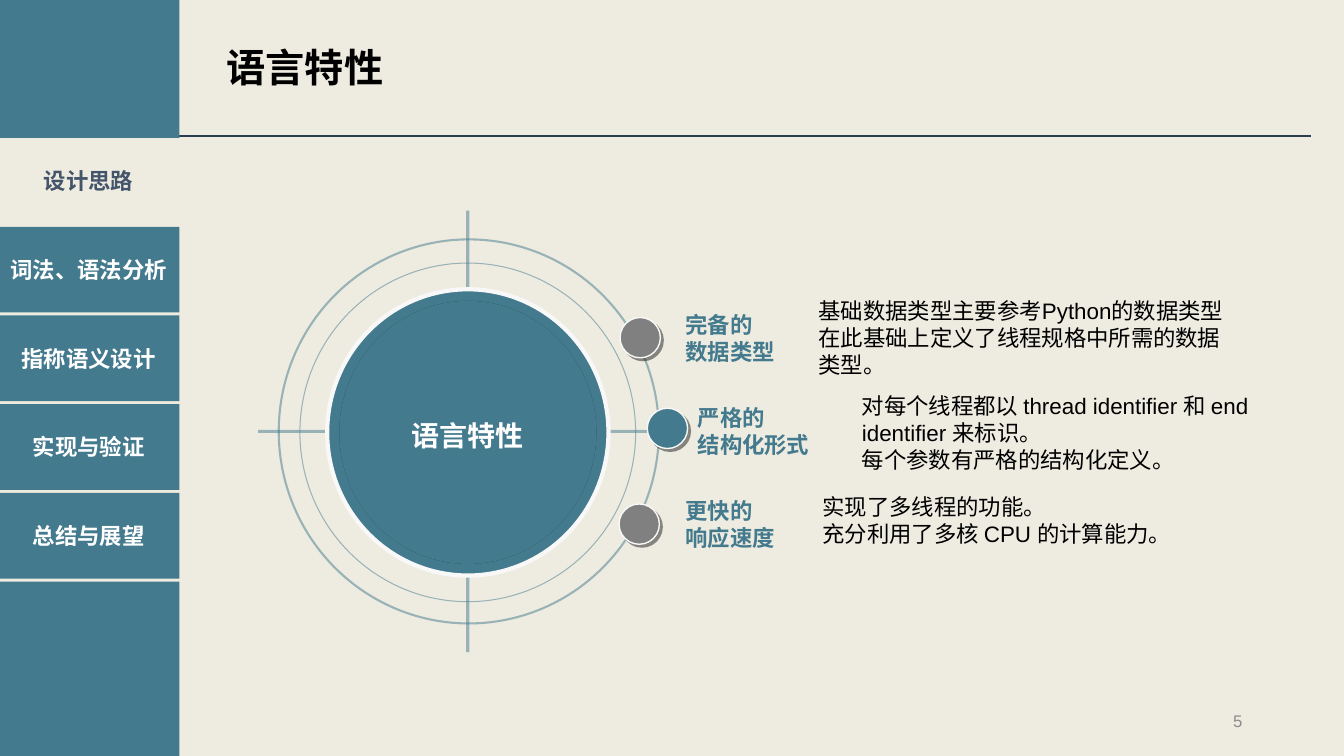
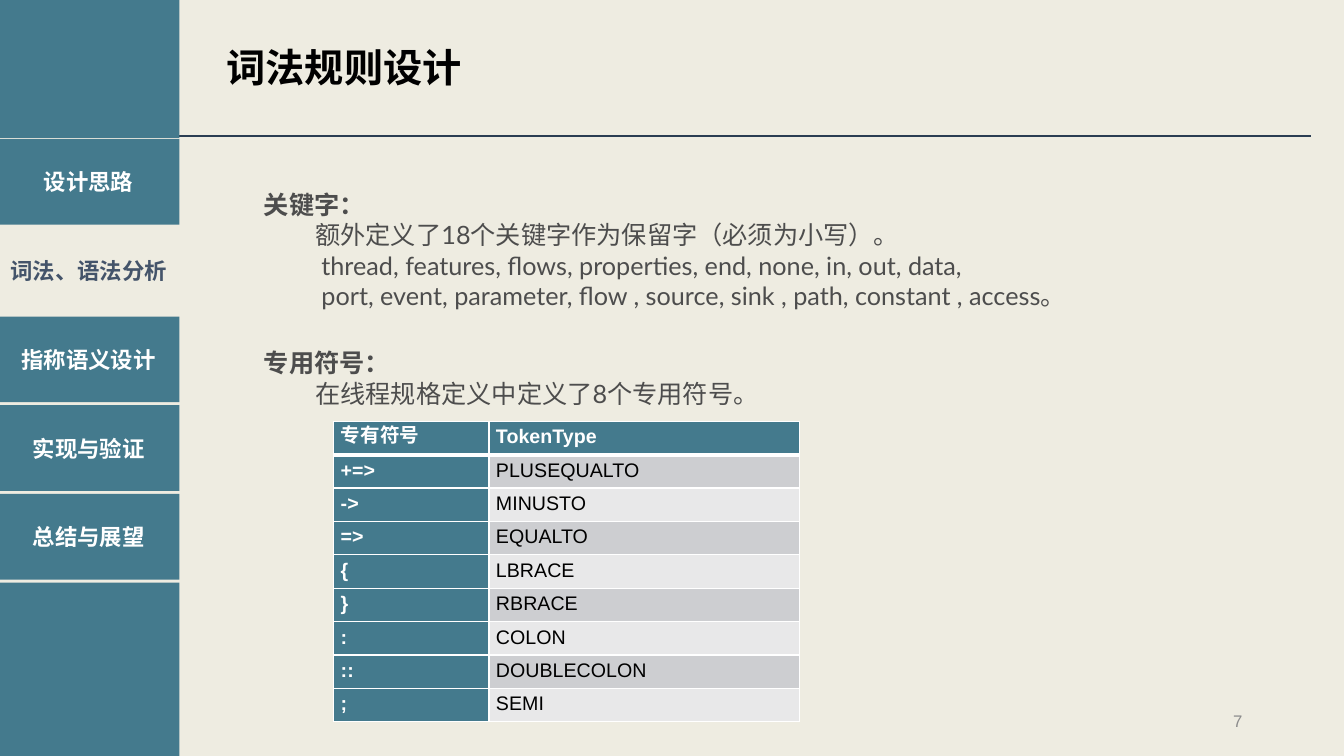
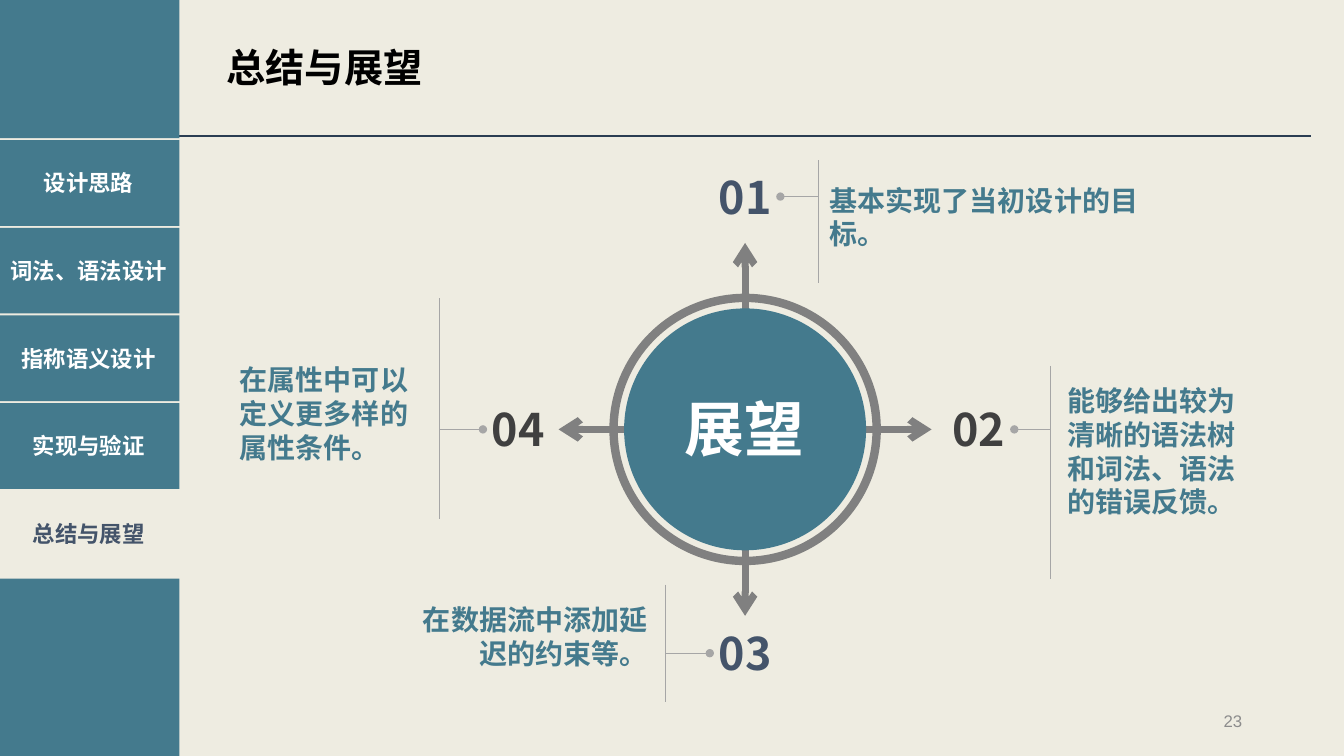
from lxml.etree import SubElement
from pptx import Presentation
from pptx.dml.color import RGBColor
from pptx.enum.shapes import MSO_CONNECTOR, MSO_SHAPE
from pptx.enum.text import MSO_ANCHOR as Anchor, PP_ALIGN as Align
from pptx.oxml.ns import qn
from pptx.util import Inches, Pt

TEAL, PAGE, SLATE, WHITE, BLACK = "447A8D", "EEECE1", "44546A", "FFFFFF", "000000"
GRAY, LIGHT_GRAY, DARK_GRAY, OFF_WHITE = "808080", "A6A6A6", "404040", "F8F8F8"
CJK = "Noto Sans CJK SC"

TITLE = {"size": 28, "bold": True, "name": CJK, "color": BLACK}
TAB = {"size": 16, "bold": True, "name": CJK, "color": WHITE}
HEADING = {**TAB, "color": TEAL}
BODY = {"size": 16, "bold": False, "name": "Arial", "color": BLACK}
PAGE_NUMBER = {**BODY, "size": 12, "color": "8C8C8C"}
HUB = {**BODY, "size": 20, "bold": True, "color": WHITE}
NOTE = {"size": 18, "bold": False, "name": "Lato", "color": "4D4D4D"}
CELL = {**BODY, "size": 14}
CELL_HEAD = {**CELL, "bold": True, "color": WHITE}
CALLOUT = {**HEADING, "size": 20}
NUMBER = {**HEADING, "size": 32}
OUTLOOK = {**TAB, "size": 42.7}

TAB_LABELS = ["设计思路", "词法、语法分析", "指称语义设计", "实现与验证", "总结与展望"]


def rgb(value):
    return RGBColor.from_string(value)


def set_all(target, **values):
    for name, value in values.items():
        setattr(target, name, value)


def write(frame, lines, style, align=Align.LEFT, anchor=Anchor.TOP, insets=(0.1, 0.05), wrap=True):
    """Fill a text frame with one paragraph per line and return the paragraphs."""
    across, down = map(Inches, insets)
    set_all(frame, word_wrap=wrap, vertical_anchor=anchor, margin_left=across,
            margin_right=across, margin_top=down, margin_bottom=down)
    paragraphs = []
    for index, line in enumerate(lines):
        paragraph = frame.add_paragraph() if index else frame.paragraphs[0]
        paragraph.alignment = align
        run = paragraph.add_run()
        run.text = line
        set_all(run.font, size=Pt(style["size"]), bold=style["bold"], name=style["name"])
        run.font.color.rgb = rgb(style["color"])
        SubElement(run.font._element, qn("a:ea"), typeface=CJK)
        paragraphs.append(paragraph)
    return paragraphs


def add_text(slide, box, lines, style, **layout):
    shape = slide.shapes.add_textbox(*map(Inches, box))
    write(shape.text_frame, lines, style, **layout)
    return shape


def make_half_transparent(element):
    for color in element.iter(qn("a:srgbClr")):
        SubElement(color, qn("a:alpha"), val="50000")


def add_shape(slide, kind, box, fill=None, line=None, width=1, faded=False):
    shape = slide.shapes.add_shape(kind, *map(Inches, box))
    shape.shadow.inherit = False
    if fill:
        shape.fill.solid()
        shape.fill.fore_color.rgb = rgb(fill)
    else:
        shape.fill.background()
    if line:
        shape.line.color.rgb = rgb(line)
        shape.line.width = Pt(width)
    else:
        shape.line.fill.background()
    if faded:
        make_half_transparent(shape.line._ln)
    return shape


def add_circle(slide, center, across, down=None, **look):
    down = down or across
    box = (center[0] - across / 2, center[1] - down / 2, across, down)
    return add_shape(slide, MSO_SHAPE.OVAL, box, **look)


def add_shadow(shape, color, distance=0):
    effects = shape._element.spPr.find(qn("a:effectLst"))
    shadow = SubElement(effects, qn("a:outerShdw"), blurRad="0", dist=str(Pt(distance)),
                        dir="2700000", algn="ctr", rotWithShape="0")
    SubElement(shadow, qn("a:srgbClr"), val=color)
    make_half_transparent(shadow)


def add_line(slide, start, end, color, width, head=None, faded=False):
    points = map(Inches, (*start, *end))
    connector = slide.shapes.add_connector(MSO_CONNECTOR.STRAIGHT, *points)
    connector.line.color.rgb = rgb(color)
    connector.line.width = Pt(width)
    outline = connector.line._ln
    if faded:
        make_half_transparent(outline)
    if head:
        SubElement(outline, qn("a:headEnd"), type=head)
    SubElement(connector._element.spPr, qn("a:effectLst"))
    return connector


def add_sidebar(slide, labels, active, top, pitch):
    left, width = -0.02, 1.8
    add_shape(slide, MSO_SHAPE.RECTANGLE, (left, -0.03, width, 1.4), TEAL)
    bottom = top + len(labels) * pitch
    add_shape(slide, MSO_SHAPE.RECTANGLE, (left, bottom, width, 1.91), TEAL)
    for index, label in enumerate(labels):
        chosen = index == active
        tab = add_shape(slide, MSO_SHAPE.RECTANGLE, (left, top + index * pitch, width, 0.85),
                        PAGE if chosen else TEAL)
        style = {**TAB, "color": SLATE} if chosen else TAB
        write(tab.text_frame, [label], style, align=Align.CENTER, anchor=Anchor.MIDDLE)


def add_base_slide(presentation, title, number, active, top, pitch=0.88, labels=TAB_LABELS):
    """Add a slide with the shared background, rule, title, sidebar and page number."""
    slide = presentation.slides.add_slide(presentation.slide_layouts[6])
    slide.background.fill.solid()
    slide.background.fill.fore_color.rgb = rgb(PAGE)
    add_line(slide, (1.35, 1.35), (13, 1.35), "2A3D52", 1)
    add_text(slide, (2.15, 0.38, 4.5, 0.57), [title], TITLE)
    add_sidebar(slide, labels, active, top, pitch)
    add_text(slide, (9.42, 6.95, 3, 0.4), [str(number)], PAGE_NUMBER,
             align=Align.RIGHT, anchor=Anchor.MIDDLE)
    return slide


def add_target(slide, center):
    x, y = center
    add_line(slide, (x - 2.08, y), (x + 2.08, y), TEAL, 2.25, faded=True)
    add_line(slide, (x, y - 2.19), (x, y + 2.19), TEAL, 2.25, faded=True)
    middle = (x, y + 0.01)
    add_circle(slide, middle, 3.33, 3.36, line=TEAL, width=0.75, faded=True)
    add_circle(slide, (x + 0.01, y), 3.77, 3.81, line=TEAL, width=1.5, faded=True)
    add_circle(slide, middle, 2.79, 2.84, fill=TEAL, line=OFF_WHITE, width=3)
    add_shadow(add_circle(slide, middle, 2.55, 2.61, fill=TEAL), BLACK)
    core = add_circle(slide, (x, y + 0.04), 1.64, 1.67, fill=TEAL)
    write(core.text_frame, ["语言特性"], HUB, align=Align.CENTER, anchor=Anchor.MIDDLE, wrap=False)


def add_feature(slide, dot_center, color, heading_at, heading, body_box, body):
    dot = add_circle(slide, dot_center, 0.4, fill=color, line=OFF_WHITE)
    add_shadow(dot, "1C1C1C", 2.8)
    add_text(slide, (*heading_at, 2.44, 0.62), heading, HEADING,
             anchor=Anchor.MIDDLE, insets=(0.08, 0.04))
    add_text(slide, body_box, body, BODY)


def build_features(presentation):
    slide = add_base_slide(presentation, "语言特性", 5, active=0, top=1.37)
    add_target(slide, (4.64, 4.28))
    features = [
        ((6.35, 3.35), GRAY, (6.72, 3.04), ["完备的", "数据类型"], (8.02, 2.9, 4.34, 0.91),
         ["基础数据类型主要参考Python的数据类型", "在此基础上定义了线程规格中所需的数据类型。"]),
        ((6.62, 4.25), TEAL, (6.84, 3.97), ["严格的", "结构化形式"], (8.45, 3.84, 4.05, 0.91),
         ["对每个线程都以 thread identifier 和 end identifier 来标识。",
          "每个参数有严格的结构化定义。"]),
        ((6.34, 5.2), GRAY, (6.72, 4.89), ["更快的", "响应速度"], (8.06, 4.84, 3.6, 0.64),
         ["实现了多线程的功能。", "充分利用了多核 CPU 的计算能力。"]),
    ]
    for feature in features:
        add_feature(slide, *feature)


def add_note(slide, box, heading, lines):
    """Add a bold heading followed by indented lines."""
    shape = slide.shapes.add_textbox(*map(Inches, box))
    first, *rest = write(shape.text_frame, [heading, *lines], NOTE)
    first.runs[0].font.bold = True
    for index, paragraph in enumerate(rest):
        indent = Inches(0.57 if index else 0.51)
        paragraph._p.get_or_add_pPr().set("marL", str(indent))


def format_cell(cell, text, style, fill, bottom_width):
    paragraph, = write(cell.text_frame, [text], style)
    paragraph.line_spacing = Pt(14.2)
    set_all(cell, vertical_anchor=Anchor.MIDDLE, margin_left=Inches(0.07),
            margin_right=Inches(0.07), margin_top=0, margin_bottom=0)
    properties = cell._tc.get_or_add_tcPr()
    for side, width in {"L": 1, "R": 1, "T": 1, "B": bottom_width}.items():
        border = SubElement(properties, qn(f"a:ln{side}"), w=str(Pt(width)))
        SubElement(SubElement(border, qn("a:solidFill")), qn("a:srgbClr"), val=WHITE)
    cell.fill.solid()
    cell.fill.fore_color.rgb = rgb(fill)


def add_token_table(slide, box, rows):
    table = slide.shapes.add_table(len(rows), 2, *map(Inches, box)).table
    for column, width in zip(table.columns, (1.54, 3.08)):
        column.width = Inches(width)
    for row_index, row in enumerate(rows):
        for column_index, text in enumerate(row):
            is_head = row_index == 0 or column_index == 0
            band = "CDCED1" if row_index % 2 else "E8E8E9"
            format_cell(table.cell(row_index, column_index), text,
                        CELL_HEAD if is_head else CELL, TEAL if is_head else band,
                        1 if row_index else 3)


def build_lexical_rules(presentation):
    slide = add_base_slide(presentation, "词法规则设计", 7, active=1, top=1.38)
    add_note(slide, (2.52, 1.83, 9.93, 1.31), "关键字：", [
        "额外定义了18个关键字作为保留字（必须为小写）。",
        "thread, features, flows, properties, end, none, in, out, data,",
        "port, event, parameter, flow , source, sink , path, constant , access。"])
    add_note(slide, (2.52, 3.4, 9.93, 0.71), "专用符号：", ["在线程规格定义中定义了8个专用符号。"])
    add_token_table(slide, (3.31, 4.18, 4.62, 2.98), [
        ("专有符号", "TokenType"), ("+=>", "PLUSEQUALTO"), ("->", "MINUSTO"),
        ("=>", "EQUALTO"), ("{", "LBRACE"), ("}", "RBRACE"), (":", "COLON"),
        ("::", "DOUBLECOLON"), (";", "SEMI")])


def add_hub(slide, center):
    x, y = center
    add_circle(slide, center, 2.61, line=GRAY, width=6)
    for across, down in ((0, -1), (1, 0), (0, 1), (-1, 0)):
        tip, root = [(x + across * reach, y + down * reach) for reach in (1.85, 1.04)]
        add_line(slide, tip, root, GRAY, 5, head="arrow")
    add_circle(slide, center, 2.4, fill=TEAL)
    add_text(slide, (x - 0.88, y - 0.42, 1.75, 0.82), ["展望"], OUTLOOK, align=Align.CENTER)


def add_callout(slide, label, number_at, color, bar_x, bar_span, text_box, text, align=Align.LEFT):
    """Add a number, a dotted lead to its vertical bar, and the text beyond the bar."""
    left, top = number_at
    width, height = 0.7, 0.54
    number = add_text(slide, (left, top, width, height), [label], {**NUMBER, "color": color},
                      align=Align.CENTER, insets=(0, 0))
    add_line(slide, (bar_x, bar_span[0]), (bar_x, bar_span[1]), LIGHT_GRAY, 0.5)
    on_right = bar_x > left
    middle = top + height / 2
    lead = add_line(slide, (left + width * on_right, middle), (bar_x, middle),
                    LIGHT_GRAY, 0.5, head="oval")
    lead.begin_connect(number, 3 if on_right else 1)
    add_text(slide, text_box, [text], CALLOUT, align=align)


def build_outlook(presentation):
    labels = [label.replace("语法分析", "语法设计") for label in TAB_LABELS]
    slide = add_base_slide(presentation, "总结与展望", 23, active=4, top=1.39, pitch=0.87,
                           labels=labels)
    add_hub(slide, (7.39, 4.26))
    callouts = [
        ("01", (7.04, 1.68), SLATE, 8.12, (1.59, 2.81), (8.13, 1.77, 3.38, 0.77),
         "基本实现了当初设计的目标。"),
        ("02", (9.36, 3.99), DARK_GRAY, 10.42, (3.63, 5.74), (10.49, 3.76, 2.04, 1.45),
         "能够给出较为清晰的语法树和词法、语法的错误反馈。"),
        ("03", (7.04, 6.21), SLATE, 6.6, (5.8, 6.96), (3.91, 5.93, 2.61, 0.77),
         "在数据流中添加延迟的约束等。", Align.RIGHT),
        ("04", (4.79, 3.99), DARK_GRAY, 4.36, (2.96, 5.15), (2.28, 3.55, 2.05, 1.11),
         "在属性中可以定义更多样的属性条件。"),
    ]
    for callout in callouts:
        add_callout(slide, *callout)


def main():
    presentation = Presentation()
    set_all(presentation, slide_width=Inches(13.33), slide_height=Inches(7.5))
    for build in (build_features, build_lexical_rules, build_outlook):
        build(presentation)
    presentation.save("out.pptx")


if __name__ == "__main__":
    main()
